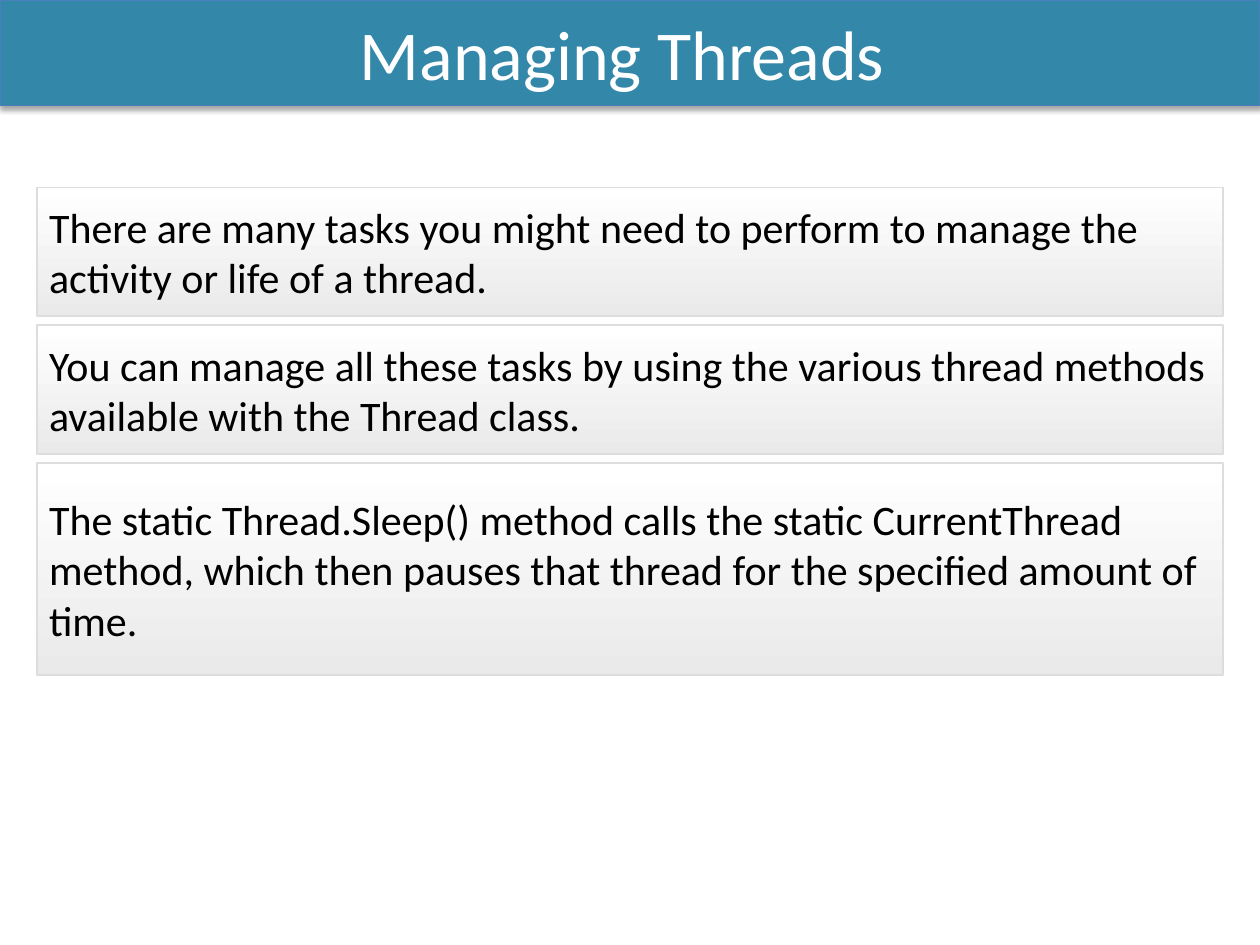
from lxml.etree import SubElement as Sub
from pptx import Presentation
from pptx.dml.color import RGBColor
from pptx.enum.shapes import MSO_SHAPE as Kind
from pptx.enum.text import MSO_ANCHOR as Anchor, MSO_AUTO_SIZE as Auto, PP_ALIGN as Align
from pptx.oxml.ns import qn
from pptx.util import Cm, Pt

TEAL = RGBColor(0x33, 0x88, 0xA9)
BLUE = RGBColor(0x4B, 0x7E, 0xBC)
WHITE = RGBColor(0xFF, 0xFF, 0xFF)
BLACK = RGBColor(0, 0, 0)
PALE = RGBColor(0xEA, 0xEA, 0xEA)
GREY = RGBColor(0xDD, 0xDD, 0xDD)

WIDE, HIGH = 25.4, 19.05
LEFT, TOP, GAP = 0.74, 3.78, 0.19
TASKS = [
    ("There are many tasks you might need to perform to manage the "
     "activity or life of a thread.", 2.59),
    ("You can manage all these tasks by using the various thread methods "
     "available with the Thread class.", 2.59),
    ("The static Thread.Sleep() method calls the static CurrentThread "
     "method, which then pauses that thread for the specified amount of "
     "time.", 4.27),
]


def write(shape, text, size=24, color=BLACK, align=Align.LEFT, font="Calibri"):
    frame = shape.text_frame
    frame.word_wrap = True
    frame.auto_size = Auto.NONE
    frame.vertical_anchor = Anchor.MIDDLE
    para = frame.paragraphs[0]
    para.alignment = align
    run = para.add_run()
    run.text = text
    run.font.name = font
    run.font.size = Pt(size)
    run.font.color.rgb = color


def outline(shape, color, width):
    shape.line.color.rgb = color
    shape.line.width = Pt(width)
    shape.shadow.inherit = False


def shade(shape, blur, dist, alpha):
    effects = shape._element.spPr.find(qn("a:effectLst"))
    outer = Sub(effects, qn("a:outerShdw"), blurRad=str(Pt(blur)),
                dist=str(Pt(dist)), dir="5400000", rotWithShape="0")
    color = Sub(outer, qn("a:srgbClr"), val=str(BLACK))
    Sub(color, qn("a:alpha"), val=str(alpha * 1000))


def banner(slide, text):
    title = slide.shapes.title
    title.left, title.top = Cm(0), Cm(0)
    title.width, title.height = Cm(WIDE), Cm(2.13)
    title.fill.solid()
    title.fill.fore_color.rgb = TEAL
    outline(title, BLUE, 0.75)
    shade(title, 3.1, 1.8, 35)
    write(title, text, size=40, color=WHITE, align=Align.CENTER)


def panel(slide, text, top, high):
    box = slide.shapes.add_shape(Kind.RECTANGLE, Cm(LEFT), Cm(top),
                                 Cm(WIDE - 2 * LEFT), Cm(high))
    box.fill.gradient()
    box.fill.gradient_angle = 270
    for stop, color, place in zip(box.fill.gradient_stops, (WHITE, PALE), (0, 1)):
        stop.color.rgb = color
        stop.position = place
    outline(box, GREY, 1)
    write(box, text)


def main():
    deck = Presentation()
    deck.slide_width, deck.slide_height = Cm(WIDE), Cm(HIGH)
    slide = deck.slides.add_slide(deck.slide_layouts[5])
    banner(slide, "Managing Threads ")
    top = TOP
    for text, high in TASKS:
        panel(slide, text, top, high)
        top += high + GAP
    deck.save("out.pptx")


main()
